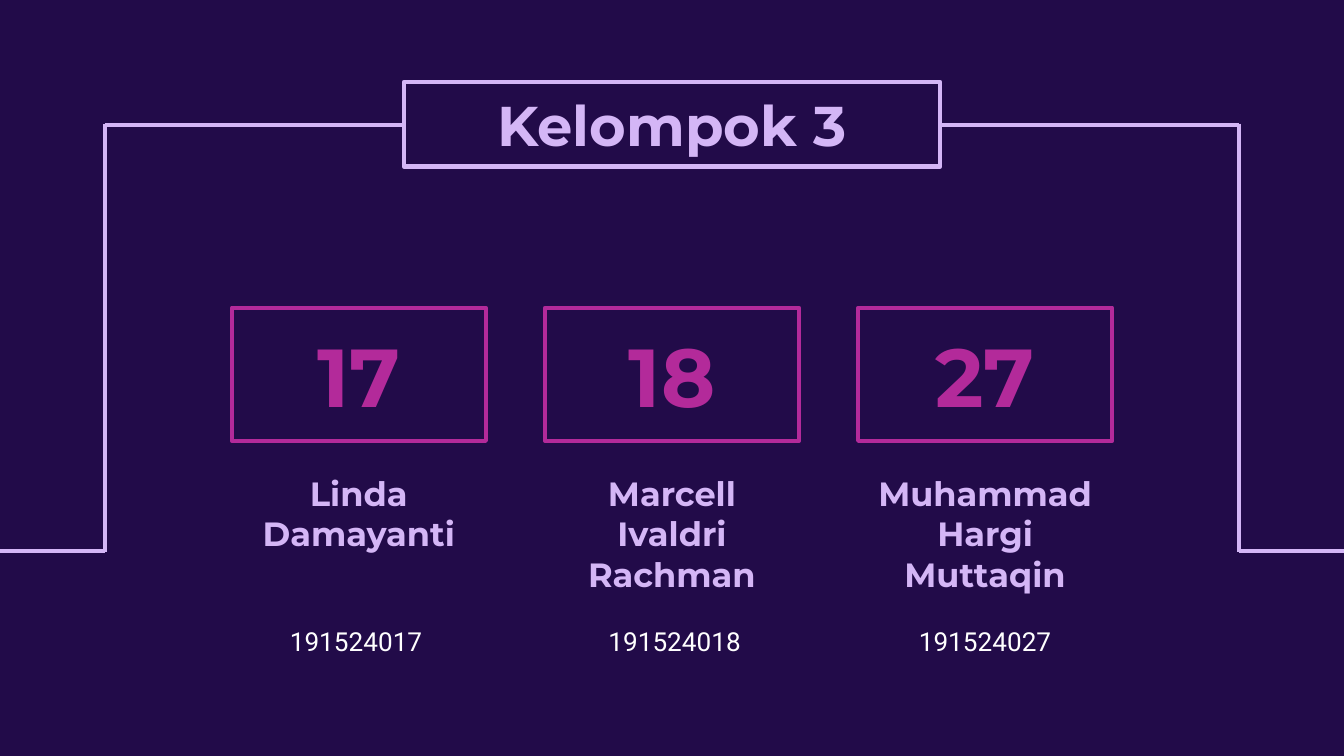
"""Build the slide that introduces the members of group 3."""
from dataclasses import dataclass

from pptx import Presentation
from pptx.dml.color import RGBColor
from pptx.enum.shapes import MSO_CONNECTOR, MSO_SHAPE
from pptx.enum.text import MSO_ANCHOR, PP_ALIGN
from pptx.oxml.ns import qn
from pptx.util import Inches, Pt

STRAIGHT = MSO_CONNECTOR.STRAIGHT
RECTANGLE = MSO_SHAPE.RECTANGLE
TOP, MIDDLE = MSO_ANCHOR.TOP, MSO_ANCHOR.MIDDLE
CENTER = PP_ALIGN.CENTER

NIGHT = RGBColor(0x22, 0x0B, 0x49)
LILAC = RGBColor(0xD4, 0xB6, 0xF6)
MAGENTA = RGBColor(0xB3, 0x2A, 0x9A)
WHITE = RGBColor(0xFF, 0xFF, 0xFF)

WIDTH = 10
HEIGHT = WIDTH * 9 / 16
MID = WIDTH / 2
COLUMN_PITCH = 2.33
TEXT_WIDTH = 1.93
INSET = 0.1
STROKE = Pt(2.25)
BRACKET_SIDE, BRACKET_TOP, BRACKET_FOOT = 0.78, 0.93, 4.1
OVERLAP = 0.01


@dataclass(frozen=True)
class Member:
    number: str
    name: str
    student_id: str
    id_shift: float


@dataclass(frozen=True)
class Lettering:
    font: str
    size: float
    color: RGBColor
    bold: bool = True


@dataclass(frozen=True)
class Area:
    center: float
    top: float
    width: float
    height: float

    def lengths(self) -> list[int]:
        left = self.center - self.width / 2
        return [Inches(v) for v in (left, self.top, self.width, self.height)]


MEMBERS = (
    Member("17", "Linda Damayanti", "191524017", -0.02),
    Member("18", "Marcell Ivaldri Rachman", "191524018", 0.02),
    Member("27", "Muhammad Hargi Muttaqin", "191524027", 0),
)
HEADING = Lettering("Montserrat", 30, LILAC)
NUMBER = Lettering("Montserrat", 44, MAGENTA)
NAME = Lettering("Montserrat", 18, LILAC)
STUDENT_ID = Lettering("Roboto", 14, WHITE, bold=False)


def write(shape, text: str, lettering: Lettering, anchor) -> None:
    frame = shape.text_frame
    frame.word_wrap = True
    frame.vertical_anchor = anchor
    frame.margin_left = frame.margin_right = Inches(INSET)
    frame.margin_top = frame.margin_bottom = Inches(INSET)
    paragraph = frame.paragraphs[0]
    paragraph.text = text
    paragraph.alignment = CENTER
    paragraph.font.name = lettering.font
    paragraph.font.size = Pt(lettering.size)
    paragraph.font.bold = lettering.bold
    paragraph.font.color.rgb = lettering.color


def add_label(slide, area: Area, text: str, lettering: Lettering) -> None:
    write(slide.shapes.add_textbox(*area.lengths()), text, lettering, TOP)


def add_frame(slide, area: Area, text: str, lettering: Lettering, filled: bool = False) -> None:
    frame = slide.shapes.add_shape(RECTANGLE, *area.lengths())
    frame.shadow.inherit = False
    if filled:
        frame.fill.solid()
        frame.fill.fore_color.rgb = NIGHT
    else:
        frame.fill.background()
    frame.line.color.rgb = lettering.color
    frame.line.width = STROKE
    write(frame, text, lettering, MIDDLE)


def add_line(slide, start: tuple[float, float], end: tuple[float, float]) -> None:
    ends = [Inches(v) for v in (*start, *end)]
    line = slide.shapes.add_connector(STRAIGHT, *ends)
    line.line.color.rgb = LILAC
    line.line.width = STROKE
    properties = line._element.spPr
    properties.append(properties.makeelement(qn("a:effectLst"), {}))


def add_bracket(slide) -> None:
    right = WIDTH - BRACKET_SIDE
    add_line(slide, (BRACKET_SIDE, BRACKET_TOP), (right, BRACKET_TOP))
    for side, edge in ((BRACKET_SIDE, 0), (right, WIDTH)):
        add_line(slide, (side, BRACKET_TOP - OVERLAP), (side, BRACKET_FOOT + OVERLAP))
        add_line(slide, (edge, BRACKET_FOOT), (side, BRACKET_FOOT))


def add_member(slide, member: Member, center: float) -> None:
    add_frame(slide, Area(center, 2.29, 1.89, 0.99), member.number, NUMBER)
    add_label(slide, Area(center, 3.42, TEXT_WIDTH, 0.63), member.name, NAME)
    id_area = Area(center + member.id_shift, 4.55, TEXT_WIDTH, 0.91)
    add_label(slide, id_area, member.student_id, STUDENT_ID)


def main() -> None:
    deck = Presentation()
    deck.slide_width, deck.slide_height = Inches(WIDTH), Inches(HEIGHT)
    slide = deck.slides.add_slide(deck.slide_layouts[6])
    slide.background.fill.solid()
    slide.background.fill.fore_color.rgb = NIGHT
    add_bracket(slide)
    add_frame(slide, Area(MID, 0.61, 3.99, 0.63), "Kelompok 3", HEADING, filled=True)
    for column, member in enumerate(MEMBERS):
        add_member(slide, member, MID + (column - 1) * COLUMN_PITCH)
    deck.save("out.pptx")


if __name__ == "__main__":
    main()
